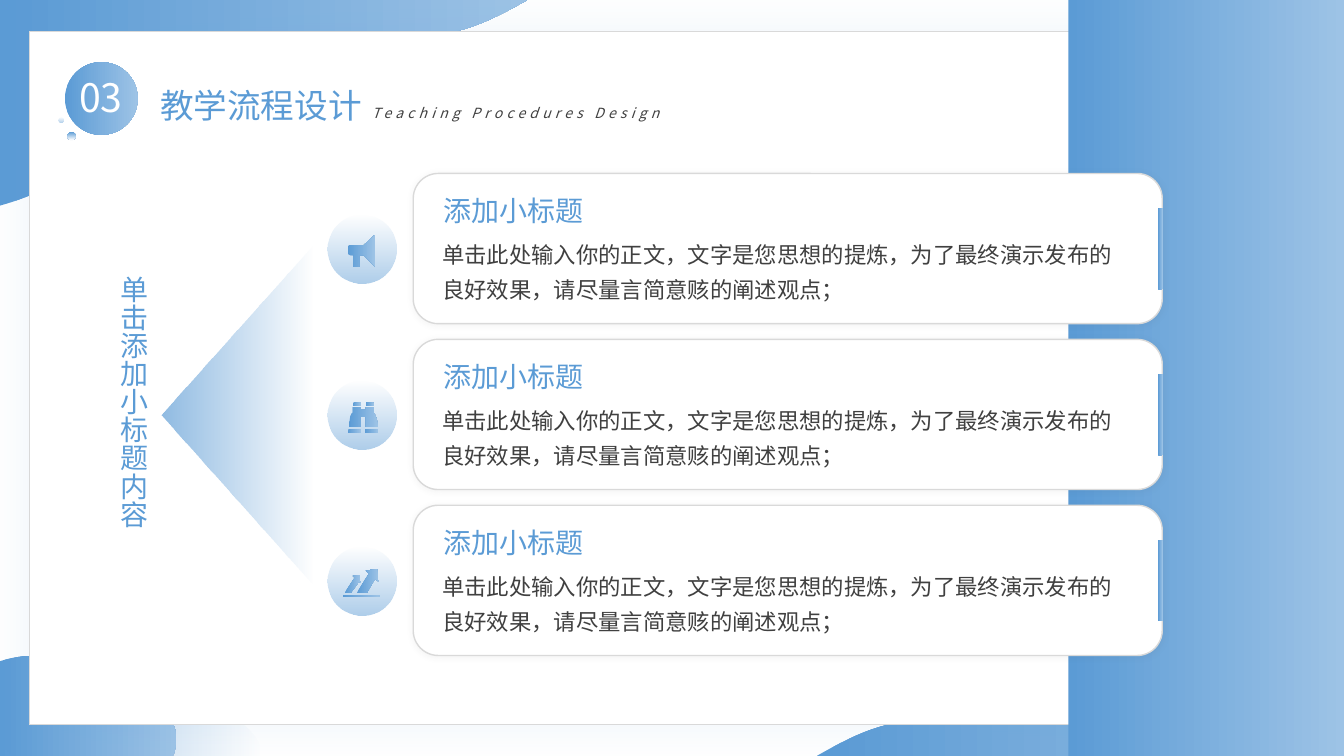
from lxml.etree import SubElement
from pptx import Presentation
from pptx.dml.color import RGBColor
from pptx.enum.shapes import MSO_SHAPE as SHAPE
from pptx.enum.text import MSO_AUTO_SIZE as AUTO_SIZE, PP_ALIGN as ALIGN
from pptx.oxml.ns import qn
from pptx.util import Pt

COLORS = {"blue": "5B9BD5", "light": "9DC3E6", "white": "FFFFFF", "border": "D9D9D9", "text": "404040"}
FONT = "Noto Sans CJK SC"
WIDTH, HEIGHT = 960, 540
ROW_TOPS = [123.9 + 118.5 * row for row in range(3)]

presentation = Presentation()
presentation.slide_width, presentation.slide_height = Pt(WIDTH), Pt(HEIGHT)
slide = presentation.slides.add_slide(presentation.slide_layouts[6])
shapes = slide.shapes


def paint(owner, end="light", angle=0, opacities=None):
    owner.fill.gradient()
    owner.fill.gradient_angle = -angle % 360
    for stop, name in zip(owner.fill.gradient_stops, ("blue", end)):
        stop.color.rgb = RGBColor.from_string(COLORS[name])
    if opacities:
        for color, opacity in zip(owner.element.iter(qn("a:srgbClr")), opacities):
            SubElement(color, qn("a:alpha"), val=str(opacity * 1000))


def draw_outline(outline, shift=0, steps=12):
    points = []
    for segment in outline:
        if len(segment) == 2:
            points.append(segment)
            continue
        nodes = [points[-1], segment[:2], segment[2:4], segment[4:]]
        for step in range(1, steps + 1):
            t = step / steps
            weights = ((1 - t) ** 3, 3 * t * (1 - t) ** 2, 3 * t * t * (1 - t), t ** 3)
            points.append(tuple(sum(w * node[axis] for w, node in zip(weights, nodes)) for axis in (0, 1)))
    corners = [(Pt(x), Pt(y + shift)) for x, y in points]
    builder = shapes.build_freeform(*corners[0], scale=1.0)
    builder.add_line_segments(corners[1:], close=True)
    shape = builder.convert_to_shape()
    shape.shadow.inherit = False
    shape.line.fill.background()
    paint(shape)
    return shape


top_wave = [
    (0, 0), (0, 146.9), (18.7, 141.8, 36, 133.9, 50.4, 123.8),
    (83.5, 100.8, 92.9, 74.2, 123.8, 51.1), (164.9, 21.6, 203, 19.4, 257.8, 24.5),
    (272.2, 25.2, 289.4, 26.6, 306, 25.2), (333.4, 23.8, 355, 12.2, 376.6, 0),
]
bottom_wave = [
    tuple((HEIGHT if i % 2 else WIDTH) - value for i, value in enumerate(segment))
    for segment in top_wave
]
pale_hill = [
    (186.5, 537.1), (182.2, 512.6, 143.3, 499, 100.1, 506.9),
    (72, 511.9, 49, 524.9, 37.4, 540), (186.5, 540),
]
blue_hill = [
    (59, 472.3), (36.7, 466.6, 15.8, 467.3, 0, 472.3), (0, 540), (123.1, 540),
    (124.6, 538.6, 124.6, 536.4, 125.3, 534.2), (131, 510.5, 101.5, 482.4, 59, 472.3),
]
draw_outline(top_wave)
paint(draw_outline(pale_hill), "blue", 0, (50, 0))
draw_outline(blue_hill)
draw_outline(bottom_wave)

plates = [
    (SHAPE.RECTANGLE, (20.9, 22.3, 918, 495.4), 0.5, ("blue", 10, 35)),
    (SHAPE.RECTANGLE, (763.2, 0, 196.8, HEIGHT), 0, None),
]
plates += [(SHAPE.ROUNDED_RECTANGLE, (295.2, top, 535, 107.3), 1, ("text", 6, 5)) for top in ROW_TOPS]
for kind, frame, border, shadow in plates:
    plate = shapes.add_shape(kind, *map(Pt, frame))
    plate.shadow.inherit = False
    if shadow is None:
        plate.line.fill.background()
        paint(plate)
        continue
    plate.fill.solid()
    plate.fill.fore_color.rgb = RGBColor.from_string(COLORS["white"])
    plate.line.color.rgb = RGBColor.from_string(COLORS["border"])
    plate.line.width = Pt(border)
    name, opacity, blur = shadow
    effects = plate.element.spPr.find(qn("a:effectLst"))
    outer = SubElement(effects, qn("a:outerShdw"), blurRad=str(Pt(blur)), dist="0",
                       algn="ctr", rotWithShape="0")
    color = SubElement(outer, qn("a:srgbClr"), val=COLORS[name])
    SubElement(color, qn("a:alpha"), val=str(opacity * 1000))

accents = [
    (SHAPE.OVAL, (46.4, 44.4, 52, 52), 0, "light", 0, None),
    (SHAPE.OVAL, (48.2, 94.3, 5.8, 5.8), 0, "white", 90, None),
    (SHAPE.OVAL, (41.8, 84.2, 3.2, 3.2), 0, "blue", 90, (0, 50)),
    (SHAPE.ISOSCELES_TRIANGLE, (48.2, 241.9, 243.4, 108.7), 270, "blue", 90, (68, 0)),
]
for top in ROW_TOPS:
    accents += [
        (SHAPE.OVAL, (234, top + 29.5, 49, 49), 0, "blue", 90, (0, 50)),
        (SHAPE.ROUNDED_RECTANGLE, (827.2, top + 24.5, 3.4, 58.5), 0, "light", 0, None),
    ]
for kind, frame, rotation, end, angle, opacities in accents:
    accent = shapes.add_shape(kind, *map(Pt, frame))
    accent.rotation = rotation
    accent.shadow.inherit = False
    accent.line.fill.background()
    paint(accent, end, angle, opacities)

megaphone = [[
    (267.8, 43.9), (259.9, 51.1), (250.6, 51.1), (249.1, 51.1, 248.4, 51.8, 248.4, 53.3),
    (248.4, 56.2), (248.4, 57.6, 249.1, 58.3, 250.6, 58.3), (252.7, 58.3), (252.7, 67),
    (257, 67), (257, 58.3), (259.9, 58.3), (267.8, 66.2),
]]
binoculars = [
    [(257.8, 64.1), (249.1, 64.1), (248.4, 67), (257.8, 67)],
    [(252, 47.5), (257.8, 47.5), (257.8, 44.6), (252, 45.4)],
    [(270, 64.1), (260.6, 64.1), (260.6, 67), (270.4, 67)],
    [(261.4, 47.5), (267.1, 47.5), (267.1, 45.4), (261.4, 44.6)],
    [
        (261.4, 62.6), (270, 62.6), (270, 60.5, 269.3, 59, 269.3, 58.3),
        (268.6, 54.7, 267.1, 52.6, 267.1, 52.6), (267.1, 48.2), (261.4, 48.2), (261.4, 50.4),
        (257.8, 50.4), (257.8, 48.2), (252, 48.2), (252, 52.6),
        (251.3, 52.6, 249.8, 54.7, 249.8, 58.3), (249.1, 59, 249.1, 60.5, 249.1, 62.6),
        (257.8, 62.6), (257.8, 55.4), (261.4, 55.4),
    ],
]
growth_arrows = [
    [(244.8, 64.1), (271.2, 64.1), (271.2, 65.5), (244.8, 65.5)],
    [(270.7, 54.7), (269.3, 45.4), (261.4, 46.8), (263.5, 49), (254.9, 62.6), (262.1, 62.6), (267.8, 52.6)],
    [(257.8, 55.4), (257, 49.7), (252, 50.4), (253.4, 51.8), (246.2, 62.6), (250.6, 62.6), (256.3, 54.7)],
]
for top, icon in zip(ROW_TOPS, (megaphone, binoculars, growth_arrows)):
    for outline in icon:
        draw_outline(outline, top)

body = "单击此处输入你的正文，文字是您思想的提炼，为了最终演示发布的良好效果，请尽量言简意赅的阐述观点；"
texts = [
    ((38.9, 49, 66.2, 41), "03", 28, "white", ALIGN.CENTER),
    ((107.3, 56.9, 172.8, 36), "教学流程设计", 24, None, ALIGN.LEFT),
    ((258.5, 71.3, 303.8, 19.4), "Teaching Procedures Design", 10, "text", ALIGN.LEFT),
    ((72, 190.1, 38.9, 213.1), "单击添加小标题内容", 20, None, ALIGN.CENTER),
]
for top in ROW_TOPS:
    texts += [
        ((308.9, top + 38.9, 504.7, 55.4), body, 16, "text", ALIGN.LEFT),
        ((309.6, top + 10.8, 172.8, 31.7), "添加小标题", 20, None, ALIGN.LEFT),
    ]
for frame, words, size, color, alignment in texts:
    box = shapes.add_textbox(*map(Pt, frame))
    text_frame = box.text_frame
    text_frame.word_wrap = True
    text_frame.auto_size = AUTO_SIZE.SHAPE_TO_FIT_TEXT
    paragraph = text_frame.paragraphs[0]
    paragraph.alignment = alignment
    run = paragraph.add_run()
    run.text = words
    run.font.size = Pt(size)
    run.font.name = FONT
    properties = run.font._element
    SubElement(properties, qn("a:ea"), typeface=FONT)
    if color:
        run.font.fill.solid()
        run.font.fill.fore_color.rgb = RGBColor.from_string(COLORS[color])
    else:
        paint(run.font, angle=45)
    if size == 16:
        paragraph.line_spacing = 1.3
    if size == 10:
        run.font.italic = True
        properties.set("spc", "300")
    if frame[3] > frame[2]:
        text_frame._txBody.bodyPr.set("vert", "eaVert")

presentation.save("out.pptx")
